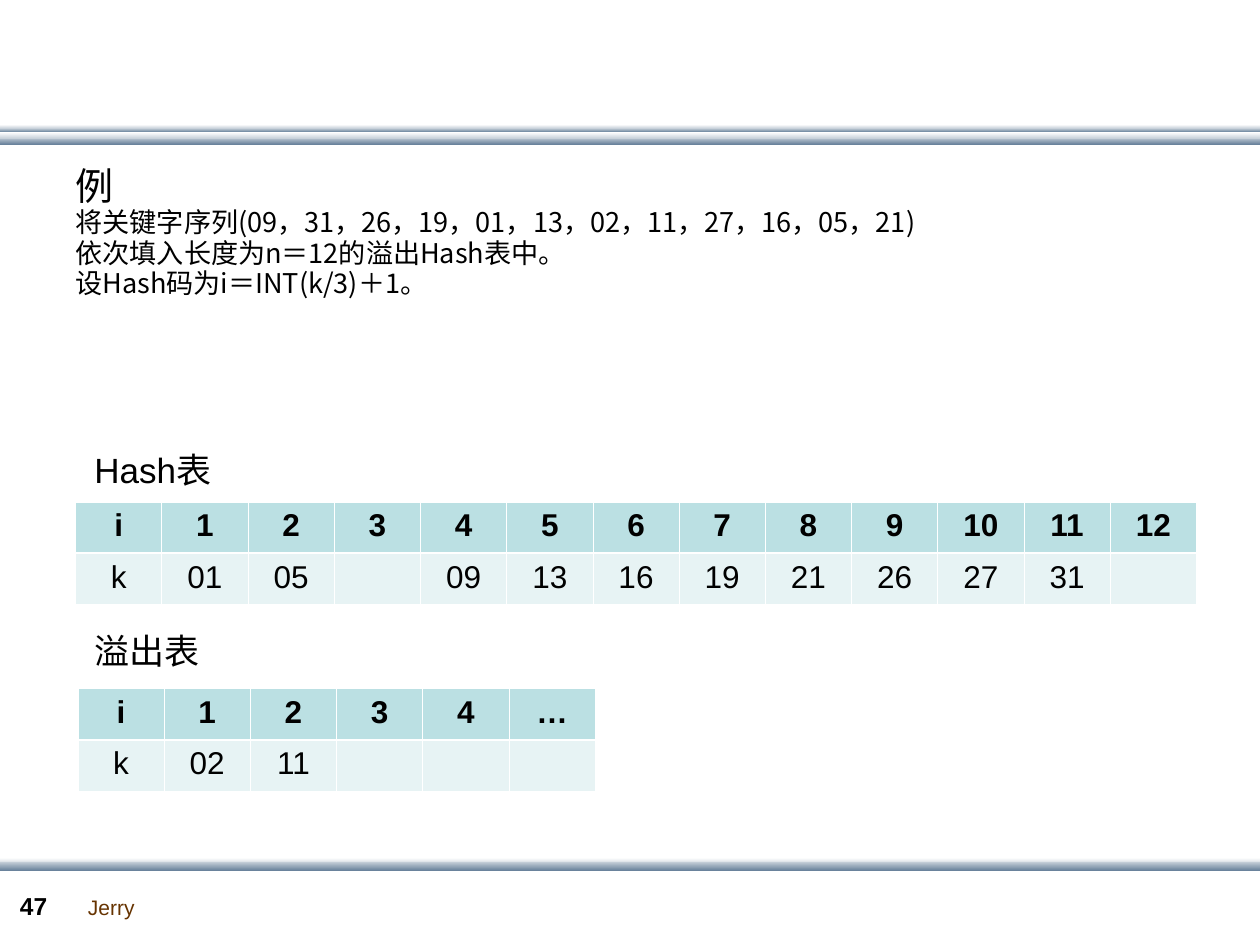
from dataclasses import dataclass

import pptx
import pptx.dml.color
import pptx.enum.shapes
import pptx.enum.text
import pptx.oxml.ns
import pptx.util
from lxml import etree

Pt = pptx.util.Pt
ALIGN = pptx.enum.text.PP_ALIGN


@dataclass(frozen=True)
class Theme:
    latin: str = "Arial"
    chinese: str = "Noto Sans CJK SC"
    text: str = "000000"
    author: str = "663300"
    white: str = "FFFFFF"
    pale: str = "C8D1DA"
    slate: str = "6A839C"
    header: str = "BBE0E3"
    values: str = "E7F3F4"
    heading_size: float = 21.7
    body_size: float = 15.5
    label_size: float = 20
    table_size: float = 18
    number_size: float = 14
    author_size: float = 12
    thin_rule: float = 0.45
    thick_rule: float = 1.47


THEME = Theme()
COLUMN_WIDTH = 49.28
ROW_HEIGHT = 29.3


def rgb(value):
    return pptx.dml.color.RGBColor.from_string(value)


def add_child(parent, tag, **attributes):
    return etree.SubElement(parent, pptx.oxml.ns.qn(tag), attributes)


def style(paragraph, size, color=THEME.text, bold=False, latin=THEME.latin):
    font = paragraph.font
    font.size = Pt(size)
    font.bold = bold
    font.color.rgb = rgb(color)
    font.name = latin
    defaults = paragraph._p.pPr.find(pptx.oxml.ns.qn("a:defRPr"))
    add_child(defaults, "a:ea", typeface=THEME.chinese)


def add_stripe(slide, top, height, upper, lower):
    stripe = slide.shapes.add_shape(
        pptx.enum.shapes.MSO_SHAPE.RECTANGLE, Pt(0), Pt(top), Pt(720), Pt(height))
    stripe.shadow.inherit = False
    stripe.line.fill.background()
    stripe.fill.gradient()
    stripe.fill.gradient_angle = 270
    for stop, color in zip(stripe.fill.gradient_stops, (upper, lower)):
        stop.color.rgb = rgb(color)


def add_label(slide, text, left, top, width, height, size, wrap=True, **look):
    label = slide.shapes.add_textbox(Pt(left), Pt(top), Pt(width), Pt(height))
    label.text_frame.word_wrap = wrap
    paragraph = label.text_frame.paragraphs[0]
    paragraph.text = text
    style(paragraph, size, **look)


def fill_body(slide, heading, lines):
    body = slide.placeholders[1]
    body.left, body.top, body.width, body.height = Pt(36), Pt(96.5), Pt(648), Pt(127.5)
    frame = body.text_frame
    frame.auto_size = pptx.enum.text.MSO_AUTO_SIZE.NONE
    for index, text in enumerate([heading, *lines]):
        paragraph = frame.add_paragraph() if index else frame.paragraphs[0]
        paragraph.text = text
        paragraph.alignment = ALIGN.JUSTIFY
        paragraph.line_spacing = 0.7
        paragraph.space_before = Pt(4.3 if index else 0)
        properties = paragraph._p.get_or_add_pPr()
        properties.set("marL", str(Pt(27)))
        properties.set("indent", str(Pt(-27)))
        add_child(properties, "a:buNone")
        style(paragraph, THEME.body_size if index else THEME.heading_size,
              latin=THEME.chinese)


def add_borders(cell, is_header):
    thick_side = "a:lnB" if is_header else "a:lnT"
    properties = cell._tc.get_or_add_tcPr()
    for side in ("a:lnL", "a:lnR", "a:lnT", "a:lnB"):
        width = THEME.thick_rule if side == thick_side else THEME.thin_rule
        border = add_child(properties, side, w=str(Pt(width)))
        add_child(add_child(border, "a:solidFill"), "a:srgbClr", val=THEME.white)


def add_hash_table(slide, left, top, indexes, keys):
    rows = (["i", *indexes], ["k", *keys])
    columns = len(rows[0])
    table = slide.shapes.add_table(
        len(rows), columns, Pt(left), Pt(top),
        Pt(COLUMN_WIDTH * columns), Pt(ROW_HEIGHT * len(rows))).table
    for column in table.columns:
        column.width = Pt(COLUMN_WIDTH)
    for row_index, row in enumerate(rows):
        is_header = row_index == 0
        table.rows[row_index].height = Pt(ROW_HEIGHT)
        for column_index, text in enumerate(row):
            cell = table.cell(row_index, column_index)
            add_borders(cell, is_header)
            cell.fill.solid()
            cell.fill.fore_color.rgb = rgb(THEME.header if is_header else THEME.values)
            paragraph = cell.text_frame.paragraphs[0]
            paragraph.text = text
            paragraph.alignment = ALIGN.CENTER
            style(paragraph, THEME.table_size, bold=is_header)


def main():
    deck = pptx.Presentation()
    deck.slide_width, deck.slide_height = Pt(720), Pt(540)
    slide = deck.slides.add_slide(deck.slide_layouts[1])
    title = slide.shapes.title
    title._element.getparent().remove(title._element)

    # Header and footer stripes
    light, dark = (THEME.white, THEME.pale), (THEME.pale, THEME.slate)
    for top, height, shades in ((78.5, 4, dark), (73.4, 2.2, dark),
                                (75.6, 3.6, light), (71.3, 2.2, light),
                                (490.3, 3.6, light), (492.5, 5, dark)):
        add_stripe(slide, top, height, *shades)

    # Footer
    add_label(slide, "Jerry", 43.2, 507.6, 41, 21.6, THEME.author_size,
              wrap=False, color=THEME.author)
    add_label(slide, "47", 4.3, 505.4, 39.6, 24.5, THEME.number_size, bold=True)

    # Problem statement
    fill_body(slide, "例", [
        "将关键字序列(09，31，26，19，01，13，02，11，27，16，05，21)",
        "依次填入长度为n＝12的溢出Hash表中。",
        "设Hash码为i＝INT(k/3)＋1。",
    ])

    # Hash table
    add_label(slide, "Hash表", 46.8, 252.7, 97.2, 31.7, THEME.label_size)
    add_hash_table(slide, 43.2, 286.9, [str(i) for i in range(1, 13)],
                   ["01", "05", "", "09", "13", "16", "19", "21", "26", "27", "31", ""])

    # Overflow table
    add_label(slide, "溢出表", 46.8, 356.4, 97.2, 31.7, THEME.label_size)
    add_hash_table(slide, 44.5, 393.6, ["1", "2", "3", "4", "…"],
                   ["02", "11", "", "", ""])

    deck.save("out.pptx")


if __name__ == "__main__":
    main()
